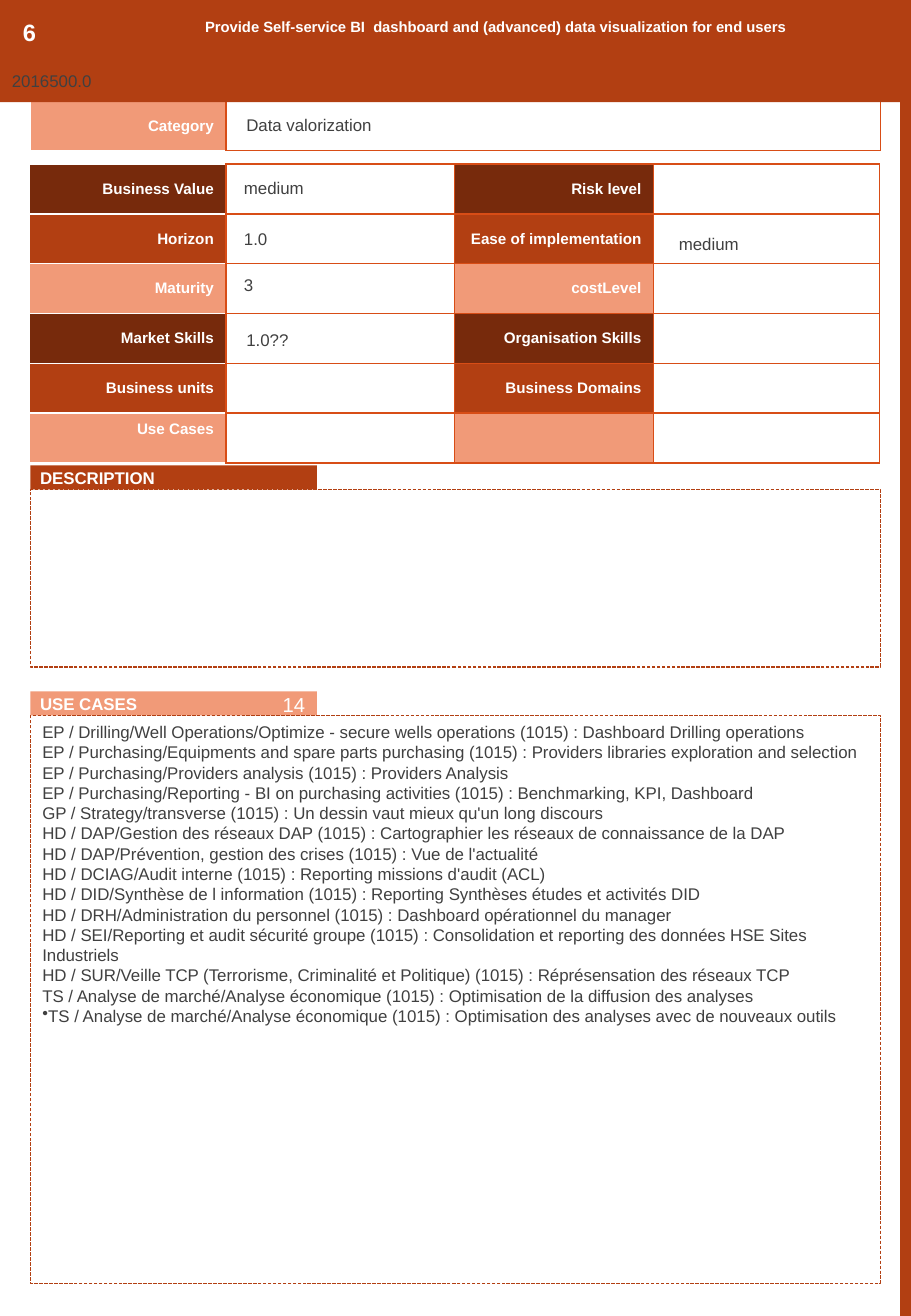
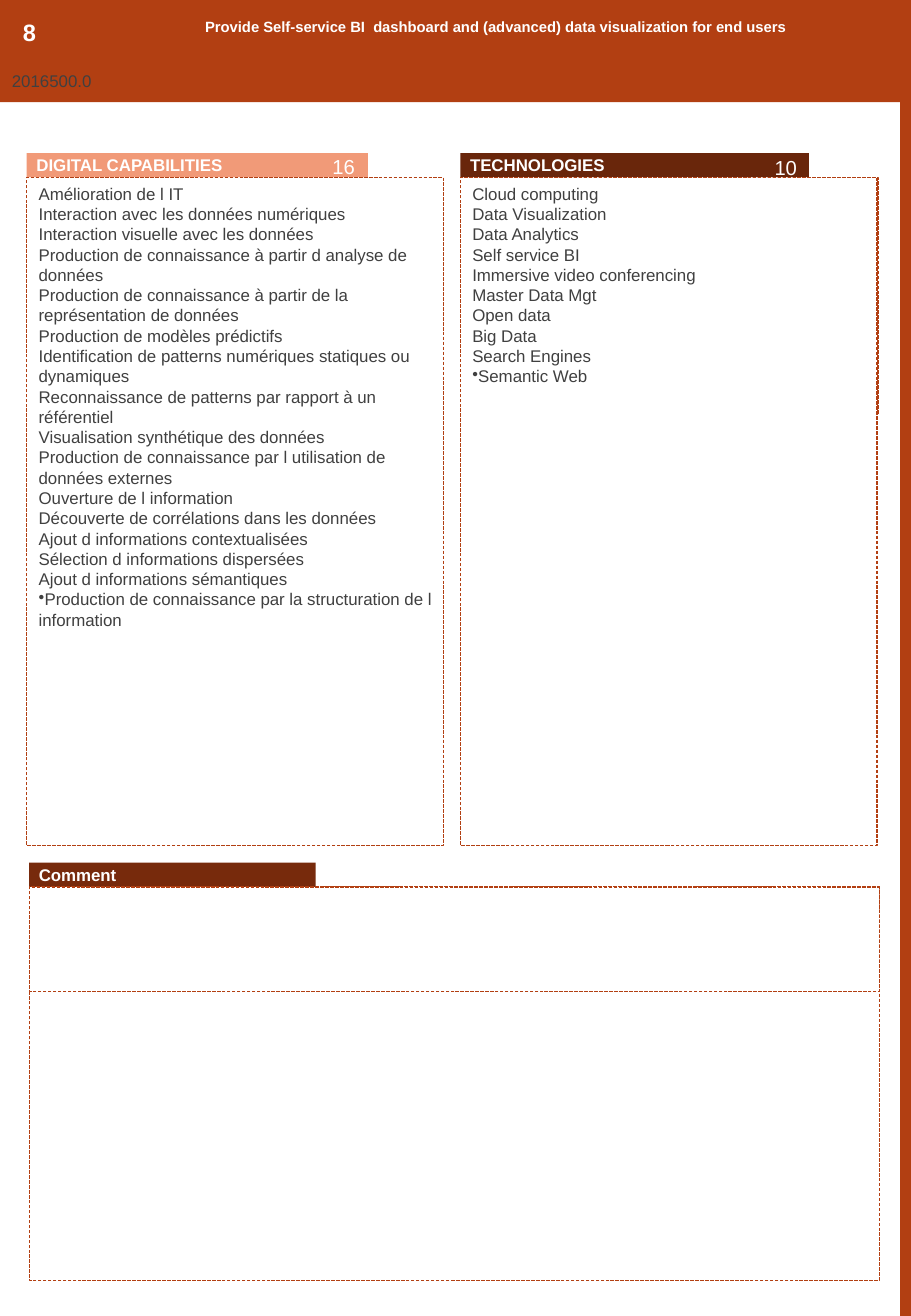
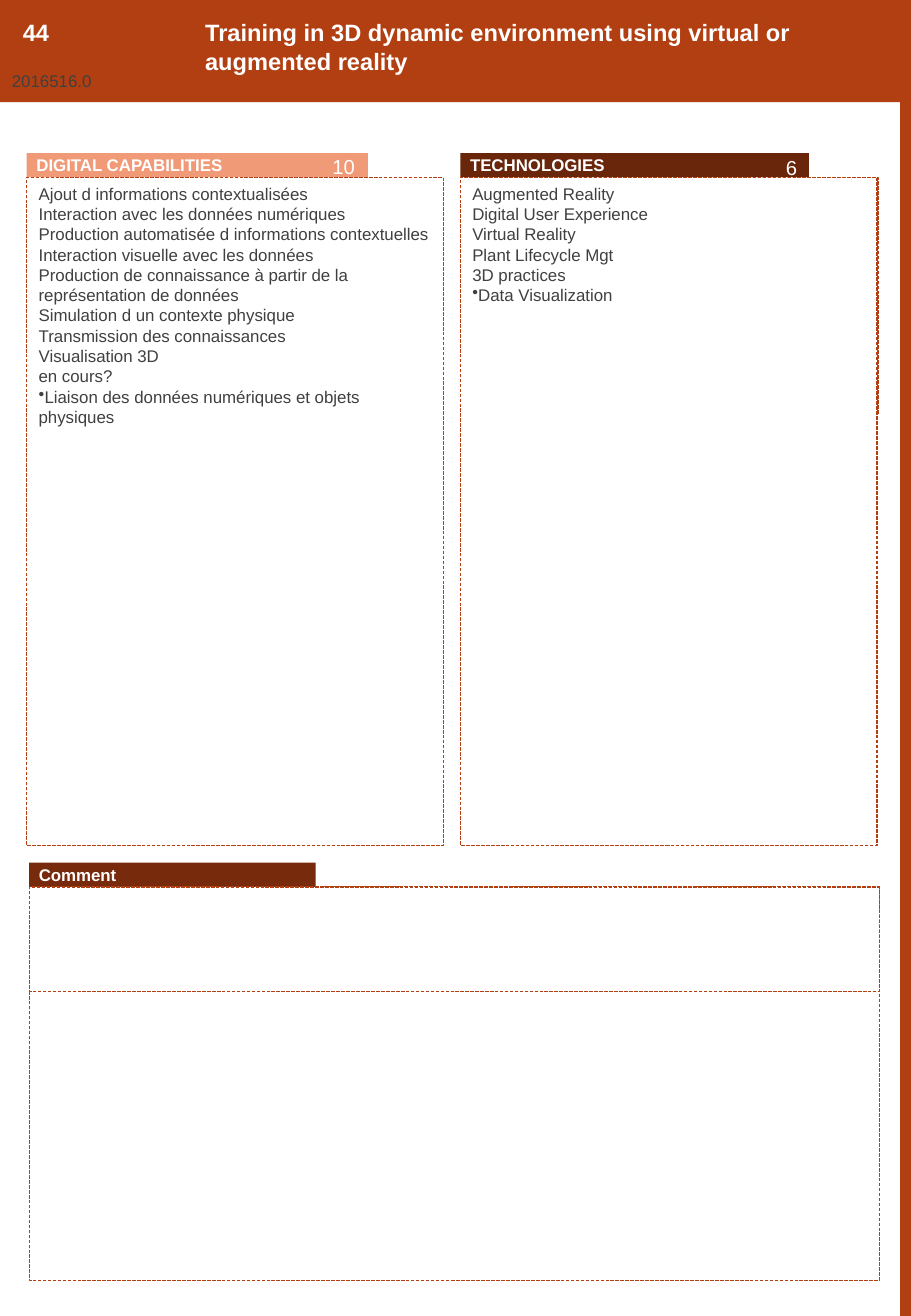
"""Build three portrait sheets describing digital use cases."""
from dataclasses import dataclass

from lxml import etree
from pptx import Presentation
from pptx.dml.color import RGBColor
from pptx.enum.dml import MSO_LINE
from pptx.enum.shapes import MSO_SHAPE
from pptx.enum.text import MSO_ANCHOR, PP_ALIGN
from pptx.oxml.ns import qn
from pptx.util import Inches, Pt

RECT = MSO_SHAPE.RECTANGLE
DASH = MSO_LINE.SQUARE_DOT
TOP, MIDDLE = MSO_ANCHOR.TOP, MSO_ANCHOR.MIDDLE
LEFT, RIGHT = PP_ALIGN.LEFT, PP_ALIGN.RIGHT

FONT = "Arial"
RUST, DARK, DEEP, PEACH = "B23F12", "772A0C", "69260B", "F19A78"
EDGE, WHITE, GREY = "D84D16", "FFFFFF", "404040"
WIDE, HIGH = 7.5, 10.83
ROW = 0.41
BAR = 0.2

Box = tuple[float, float, float, float]
Lines = tuple[str, ...]


@dataclass
class Head:
    """Top band of a sheet."""
    number: str
    title: str
    code: str
    size: float = 14


@dataclass
class Panel:
    """Titled bar above a dashed frame."""
    title: str
    fill: str
    left: float
    top: float
    bar: float
    width: float
    height: float
    lines: Lines = ()


@dataclass
class Note:
    """Small free text over a table or a bar."""
    text: str
    box: Box
    size: float = 10
    color: str = GREY
    align: PP_ALIGN = LEFT


def paint(code: str) -> RGBColor:
    """Turn a hex string into a colour."""
    return RGBColor.from_string(code)


def write(frame, *lines: str, size: float = 10, color: str = GREY,
          bold: bool = False, align: PP_ALIGN = LEFT,
          bullet: bool = False) -> None:
    """Write one paragraph per line, with an optional bullet on the last."""
    for index, line in enumerate(lines):
        para = frame.add_paragraph() if index else frame.paragraphs[0]
        para.alignment = align
        run = para.add_run()
        run.text = line
        font = run.font
        font.name, font.size, font.bold = FONT, Pt(size), bold
        font.color.rgb = paint(color)
    if bullet:
        props = para._p.get_or_add_pPr()
        etree.SubElement(props, qn("a:buChar"), char="•")


def block(slide, box: Box, fill: str, *lines: str, dashed: bool = False,
          anchor: MSO_ANCHOR = TOP, inset: float = 0.1, **style) -> None:
    """Draw a filled rectangle, with text if there is any."""
    shape = slide.shapes.add_shape(RECT, *map(Inches, box))
    shape.shadow.inherit = False
    shape.fill.solid()
    shape.fill.fore_color.rgb = paint(fill)
    if dashed:
        shape.line.color.rgb = paint(RUST)
        shape.line.width = Pt(0)
        shape.line.dash_style = DASH
    else:
        shape.line.fill.background()
    if lines:
        frame = shape.text_frame
        frame.word_wrap = True
        frame.vertical_anchor = anchor
        frame.margin_left = frame.margin_right = Inches(inset)
        write(frame, *lines, **style)


def label(slide, note: Note) -> None:
    """Place a free text box."""
    frame = slide.shapes.add_textbox(*map(Inches, note.box)).text_frame
    frame.word_wrap = True
    write(frame, note.text, size=note.size, color=note.color, align=note.align)


def panel(slide, item: Panel) -> None:
    """Draw a titled bar and its dashed frame."""
    block(slide, (item.left, item.top, item.bar, BAR), item.fill, item.title,
          anchor=MIDDLE, inset=0.08, color=WHITE, bold=True)
    block(slide, (item.left, item.top + BAR, item.width, item.height), WHITE,
          *item.lines, dashed=True, bullet=True)


def border(cell, **sides: str) -> None:
    """Colour the four one-point borders of a cell."""
    props = cell._tc.get_or_add_tcPr()
    for side in "LRTB":
        line = etree.SubElement(props, qn(f"a:ln{side}"), w=str(Pt(1)))
        solid = etree.SubElement(line, qn("a:solidFill"))
        etree.SubElement(solid, qn("a:srgbClr"), val=sides.get(side, EDGE))


def grid(slide, left: float, top: float, cols: list[float],
         rows: list[list[str]], fills: list[str]) -> None:
    """Draw a table whose even columns hold labels and odd ones are blank."""
    frame = slide.shapes.add_table(
        len(rows), len(cols), Inches(left), Inches(top),
        Inches(sum(cols)), Inches(ROW * len(rows)))
    table = frame.table
    table.first_row = table.horz_banding = False
    for col, width in zip(table.columns, cols):
        col.width = Inches(width)
    for y, names in enumerate(rows):
        table.rows[y].height = Inches(ROW)
        for x in range(len(cols)):
            cell = table.cell(y, x)
            border(cell, **({} if x else dict.fromkeys("LTB", WHITE)))
            cell.fill.solid()
            cell.fill.fore_color.rgb = paint(
                WHITE if x % 2 else fills[y % len(fills)])
            name = "" if x % 2 else names[x // 2]
            if name:
                cell.vertical_anchor = MIDDLE
                write(cell.text_frame, name, size=9, color=WHITE, bold=True,
                      align=RIGHT)
            if name == "Use Cases":
                cell.margin_bottom = Inches(0.2)


def header(slide, head: Head) -> None:
    """Draw the top band with number, title and code."""
    block(slide, (0, -0.01, WIDE, 0.85), RUST)
    block(slide, (1.59, 0.1, 5.41, 0.34), RUST, head.title,
          size=head.size, color=WHITE, bold=True)
    block(slide, (0.09, 0.1, 0.8, 0.34), RUST, head.number,
          size=14, color=WHITE, bold=True)
    block(slide, (0, 0.53, 1.06, 0.29), RUST, head.code)


def sheet(deck):
    """Add a blank slide with the right-hand strip."""
    slide = deck.slides.add_slide(deck.slide_layouts[6])
    block(slide, (7.41, 0, 0.09, HIGH), RUST)
    return slide


def count(text: str, box: Box) -> Note:
    """Make the white total shown on a bar."""
    return Note(text, box, 12, WHITE, RIGHT)


def profile(deck, head: Head, cases: Lines) -> None:
    """Build the sheet with ratings, description and use cases."""
    slide = sheet(deck)
    grid(slide, 0.25, 0.83, [1.61, 5.39], [["Category"]], [PEACH])
    header(slide, head)
    panel(slide, Panel("DESCRIPTION", RUST, 0.25, 3.83, 2.36, 7, 1.46))
    panel(slide, Panel("USE CASES", PEACH, 0.25, 5.69, 2.36, 7, 4.67, cases))
    grid(slide, 0.24, 1.35, [1.62, 1.88, 1.64, 1.86], RATINGS,
         [DARK, RUST, PEACH])
    for note in VALUES:
        label(slide, note)
    label(slide, count(str(len(cases)), (1.22, 5.65, 1.39, 0.29)))


def assets(deck, head: Head, skills: Lines, tools: Lines) -> None:
    """Build the sheet with capabilities, technologies and comment."""
    slide = sheet(deck)
    block(slide, (3.8, 1.46, 3.43, 1.95), WHITE, dashed=True)
    panel(slide, Panel("TECHNOLOGIES", DEEP, 3.79, 1.26, 2.87, 3.43, 5.5,
                       tools))
    panel(slide, Panel("DIGITAL CAPABILITIES", PEACH, 0.22, 1.26, 2.81, 3.43,
                       5.5, skills))
    label(slide, count(str(len(skills)), (1.74, 1.22, 1.28, 0.29)))
    label(slide, count(str(len(tools)), (5.19, 1.23, 1.47, 0.47)))
    header(slide, head)
    panel(slide, Panel("Comment", DARK, 0.24, 7.1, 2.36, 7, 3.24))
    block(slide, (0.24, 7.3, 7, 0.86), WHITE, dashed=True)


RATINGS = [
    ["Business Value", "Risk level"],
    ["Horizon", "Ease of implementation"],
    ["Maturity", "costLevel"],
    ["Market Skills", "Organisation Skills"],
    ["Business units", "Business Domains"],
    ["Use Cases", ""],
]
VALUES = [
    Note("medium", (5.49, 1.87, 1.75, 0.29)),
    Note("1.0", (1.91, 1.83, 1.75, 0.29)),
    Note("medium", (1.91, 1.41, 1.75, 0.29)),
    Note("3", (1.91, 2.21, 1.75, 0.29)),
    Note("Data valorization", (1.93, 0.89, 4.77, 0.29)),
    Note("1.0??", (1.93, 2.66, 1.75, 0.29)),
]
BI = "Provide Self-service BI  dashboard and (advanced) data visualization for end users"
BI_CODE = "2016500.0"
CASES = (
    "EP / Drilling/Well Operations/Optimize - secure wells operations (1015) : Dashboard Drilling operations",
    "EP / Purchasing/Equipments and spare parts purchasing (1015) : Providers libraries exploration and selection",
    "EP / Purchasing/Providers analysis (1015) : Providers Analysis",
    "EP / Purchasing/Reporting - BI on purchasing activities (1015) : Benchmarking, KPI, Dashboard",
    "GP / Strategy/transverse (1015) : Un dessin vaut mieux qu'un long discours",
    "HD / DAP/Gestion des réseaux DAP (1015) : Cartographier les réseaux de connaissance de la DAP",
    "HD / DAP/Prévention, gestion des crises (1015) : Vue de l'actualité",
    "HD / DCIAG/Audit interne (1015) : Reporting missions d'audit (ACL)",
    "HD / DID/Synthèse de l information (1015) : Reporting Synthèses études et activités DID",
    "HD / DRH/Administration du personnel (1015) : Dashboard opérationnel du manager",
    "HD / SEI/Reporting et audit sécurité groupe (1015) : Consolidation et reporting des données HSE Sites Industriels",
    "HD / SUR/Veille TCP (Terrorisme, Criminalité et Politique) (1015) : Réprésensation des réseaux TCP",
    "TS / Analyse de marché/Analyse économique (1015) : Optimisation de la diffusion des analyses",
    "TS / Analyse de marché/Analyse économique (1015) : Optimisation des analyses avec de nouveaux outils",
)
BI_SKILLS = (
    "Amélioration de l IT",
    "Interaction avec les données numériques",
    "Interaction visuelle avec les données",
    "Production de connaissance à partir d analyse de données",
    "Production de connaissance à partir de la représentation de données",
    "Production de modèles prédictifs",
    "Identification de patterns numériques statiques ou dynamiques",
    "Reconnaissance de patterns par rapport à un référentiel",
    "Visualisation synthétique des données",
    "Production de connaissance par l utilisation de données externes",
    "Ouverture de l information",
    "Découverte de corrélations dans les données",
    "Ajout d informations contextualisées",
    "Sélection d informations dispersées",
    "Ajout d informations sémantiques",
    "Production de connaissance par la structuration de l information",
)
BI_TOOLS = (
    "Cloud computing",
    "Data Visualization",
    "Data Analytics",
    "Self service BI",
    "Immersive video conferencing",
    "Master Data Mgt",
    "Open data",
    "Big Data",
    "Search Engines",
    "Semantic Web",
)
VR_SKILLS = (
    "Ajout d informations contextualisées",
    "Interaction avec les données numériques",
    "Production automatisée d informations contextuelles",
    "Interaction visuelle avec les données",
    "Production de connaissance à partir de la représentation de données",
    "Simulation d un contexte physique",
    "Transmission des connaissances",
    "Visualisation 3D",
    "en cours?",
    "Liaison des données numériques et objets physiques",
)
VR_TOOLS = (
    "Augmented Reality",
    "Digital User Experience",
    "Virtual Reality",
    "Plant Lifecycle Mgt",
    "3D practices",
    "Data Visualization",
)


def main() -> None:
    """Build and save the deck."""
    deck = Presentation()
    deck.slide_width, deck.slide_height = Inches(WIDE), Inches(HIGH)
    profile(deck, Head("6", BI, BI_CODE, 8.8), CASES)
    assets(deck, Head("8", BI, BI_CODE, 8.8), BI_SKILLS, BI_TOOLS)
    training = Head(
        "44",
        "Training in 3D dynamic environment using virtual or augmented reality",
        "2016516.0")
    assets(deck, training, VR_SKILLS, VR_TOOLS)
    deck.save("out.pptx")


if __name__ == "__main__":
    main()
